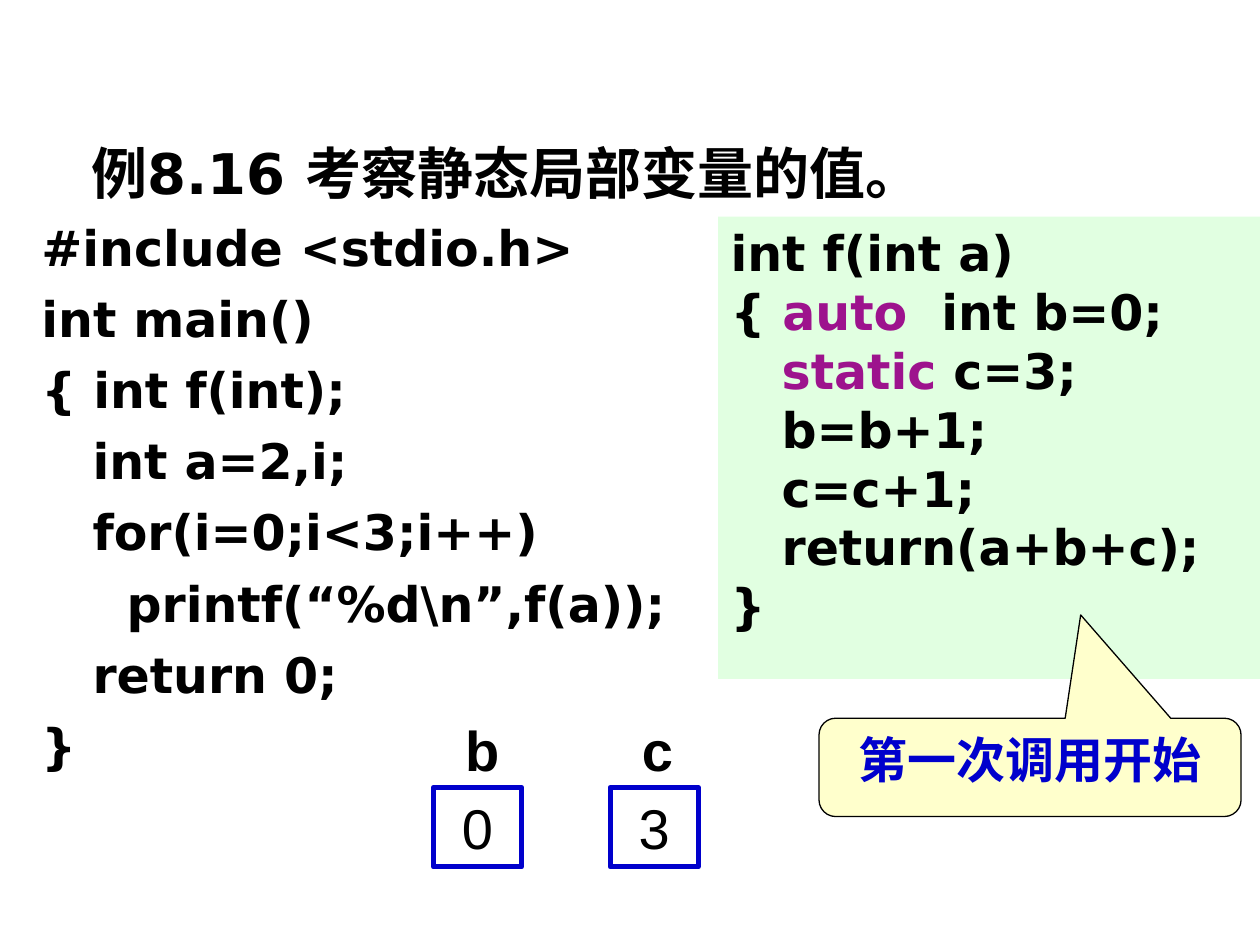
from pptx import Presentation
from pptx.dml.color import RGBColor
from pptx.enum.shapes import MSO_SHAPE
from pptx.enum.text import MSO_ANCHOR, PP_ALIGN
from pptx.util import Pt

RECT = MSO_SHAPE.RECTANGLE
CALLOUT = MSO_SHAPE.ROUNDED_RECTANGULAR_CALLOUT
TOP, MIDDLE = MSO_ANCHOR.TOP, MSO_ANCHOR.MIDDLE
LEFT, CENTER = PP_ALIGN.LEFT, PP_ALIGN.CENTER

CODE_FONT, LABEL_FONT = "DejaVu Sans", "Arial"
BLACK, WHITE, BLUE, PURPLE = "000000", "FFFFFF", "0000CC", "9D138D"
MINT, CREAM = "E1FFE1", "FFFFCC"
STEP = 29.2  # first code indent
DEEP = 48.7  # indent of a loop body

MAIN_CODE = [
    ("#include <stdio.h>", 0),
    ("int main()", 0),
    ("{ int f(int);", 0),
    ("int a=2,i;", STEP),
    ("for(i=0;i<3;i++)", STEP),
    ("printf(“%d\\n”,f(a));", DEEP),
    ("return 0;", STEP),
    ("}", 0),
]
FUNCTION_CODE = [
    ("int f(int a)", 0),
    (["{ ", ("auto", PURPLE), "  int b=0;"], 0),
    ([("static", PURPLE), " c=3;"], STEP),
    ("b=b+1;", STEP),
    ("c=c+1;", STEP),
    ("return(a+b+c);", STEP),
    ("}", 0),
]
VARIABLES = [("b", "0"), ("c", "3")]


def rgb(value):
    return RGBColor.from_string(value)


def add_text(tf, text, size=28, font=CODE_FONT, color=BLACK, bold=True,
             align=LEFT, indent=0, before=0, spacing=1.0):
    """Add a paragraph; text is a string or a list of strings and (string, colour)."""
    p = tf.paragraphs[0]
    if p.runs:
        p = tf.add_paragraph()
    p.alignment, p.line_spacing, p.space_before = align, spacing, Pt(before)
    if indent:
        p._p.get_or_add_pPr().set("marL", str(Pt(indent)))
    for part in [text] if isinstance(text, str) else text:
        words, run_color = (part, color) if isinstance(part, str) else part
        r = p.add_run()
        r.text = words
        r.font.size, r.font.name, r.font.bold = Pt(size), font, bold
        r.font.color.rgb = rgb(run_color)


def add_box(s, x, y, w, h):
    tf = s.shapes.add_textbox(Pt(x), Pt(y), Pt(w), Pt(h)).text_frame
    tf.word_wrap = True
    return tf


def add_panel(s, kind, x, y, w, h, fill, line=None, width=1, anchor=TOP, wrap=True):
    sp = s.shapes.add_shape(kind, Pt(x), Pt(y), Pt(w), Pt(h))
    sp.shadow.inherit = False
    sp.fill.solid()
    sp.fill.fore_color.rgb = rgb(fill)
    if line:
        sp.line.color.rgb = rgb(line)
        sp.line.width = Pt(width)
    else:
        sp.line.fill.background()
    sp.text_frame.vertical_anchor = anchor
    sp.text_frame.word_wrap = wrap
    return sp


def add_code(tf, lines, before=0):
    for text, indent in lines:
        add_text(tf, text, indent=indent, before=before)


def add_variable(s, x, name, value):
    """Draw a memory cell with the variable's name above it."""
    sp = add_panel(s, RECT, x, 450, 50.4, 45.4, WHITE, BLUE, 3, MIDDLE, wrap=False)
    add_text(sp.text_frame, value, size=32, font=LABEL_FONT, bold=False, align=CENTER)
    add_text(add_box(s, x + 11, 405.4, 33.8, 46), name, size=32, font=LABEL_FONT)


def add_callout(s, text):
    sp = add_panel(s, CALLOUT, 468, 410.4, 241.2, 56.2, CREAM, BLACK, 0.75)
    for i, value in enumerate((0.12, -1.55, 0.17)):
        sp.adjustments[i] = value
    add_text(sp.text_frame, text, font=LABEL_FONT, color=BLUE, align=CENTER)


def main():
    prs = Presentation()
    prs.slide_width, prs.slide_height = Pt(720), Pt(540)
    s = prs.slides.add_slide(prs.slide_layouts[6])

    tf = add_box(s, 16.6, 67.7, 551.5, 382.3)
    add_text(tf, "例8.16 考察静态局部变量的值。", size=32, indent=28.5, before=8, spacing=1.2)
    add_code(tf, MAIN_CODE, before=7)

    panel = add_panel(s, RECT, 410.4, 123.8, 309.6, 264.2, MINT)
    add_code(panel.text_frame, FUNCTION_CODE)

    for i, (name, value) in enumerate(VARIABLES):
        add_variable(s, 247.7 + i * 101, name, value)
    add_callout(s, "第一次调用开始")

    prs.save("out.pptx")


if __name__ == "__main__":
    main()
